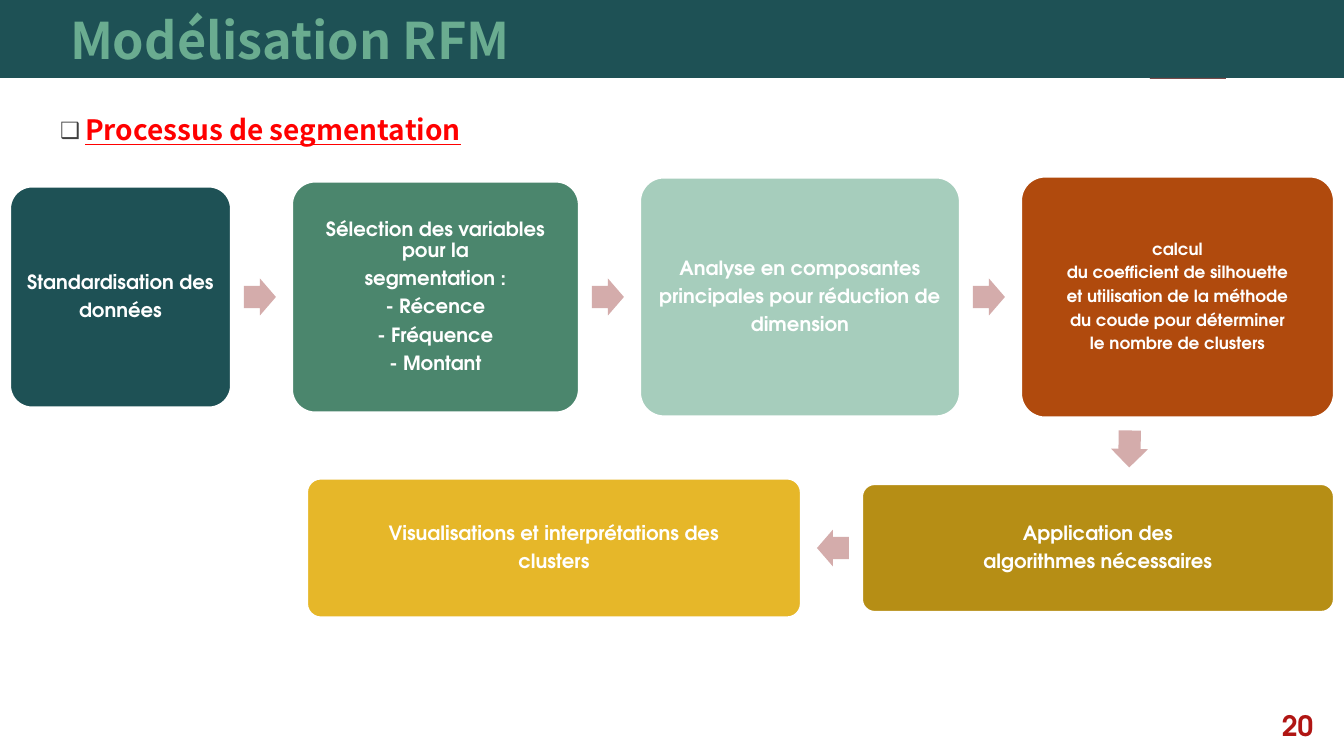
"""Build the slide that shows the RFM segmentation process as a chain of boxes."""
from dataclasses import dataclass

from lxml.etree import SubElement
from pptx import Presentation
from pptx.dml.color import RGBColor
from pptx.enum.shapes import MSO_SHAPE as Preset
from pptx.enum.text import MSO_ANCHOR as Anchor, PP_ALIGN as Align
from pptx.oxml.ns import qn
from pptx.util import Emu, Pt

TITLE = "Modélisation RFM"
HEADING = "Processus de segmentation"
PAGE_NUMBER = "20"

TOP_ROW = [
    (221, 221, "1E5155", 14, ["Standardisation des", "données"]),
    (287, 231, "4B866D", 14, ["Sélection des variables pour la", "segmentation :",
                              "- Récence", "- Fréquence", "- Montant"]),
    (320, 239, "A6CDBC", 14, ["Analyse en composantes", "principales pour réduction de",
                              "dimension"]),
    (313, 241, "B04A0D", 12, ["calcul", "du coefficient de silhouette",
                              "et utilisation de la méthode", "du coude pour déterminer",
                              "le nombre de clusters"]),
]
BOTTOM_ROW = [
    (472, 128, "B68E15", 14, ["Application des", "algorithmes nécessaires"]),
    (494, 139, "E6B729", 14, ["Visualisations et interprétations des", "clusters"]),
]


@dataclass(frozen=True)
class Theme:
    """Colours, fonts and type sizes of the slide."""
    banner: str = "1E5155"
    title: str = "6AAC90"
    heading: str = "FF0000"
    bullet: str = "404040"
    accent: str = "B01513"
    tab: str = "7A4A4A"
    arrow: str = "D4ACAB"
    white: str = "FFFFFF"
    heading_font: str = "Noto Sans CJK JP"
    body_font: str = "TeX Gyre Adventor"
    title_size: int = 36
    heading_size: int = 20
    number_size: int = 20


THEME = Theme()
SLIDE_WIDTH, SLIDE_HEIGHT = 1344, 756
BANNER_HEIGHT = 78
ROW_LEFT, ROW_RIGHT = 10, 1334
TOP_CENTRE, BOTTOM_CENTRE = 297, 548
BOX_GAP, ARROW_GAP = 61, 13
ARROW_WIDTH, ARROW_HEIGHT = 32, 37
DOWN_ARROW_LEFT = 1111


def px(length):
    return Emu(round(length * 914400 / 100.8))


def add_block(slide, preset, left, top, width, height, colour, outline=None):
    shape = slide.shapes.add_shape(preset, px(left), px(top), px(width), px(height))
    shape.shadow.inherit = False
    shape.fill.solid()
    shape.fill.fore_color.rgb = RGBColor.from_string(colour)
    if outline:
        shape.line.color.rgb = RGBColor.from_string(outline)
        shape.line.width = Pt(1.5)
    else:
        shape.line.fill.background()
    return shape


def set_insets(frame, left, top, right, bottom):
    frame.margin_left, frame.margin_top = px(left), px(top)
    frame.margin_right, frame.margin_bottom = px(right), px(bottom)


def write_line(paragraph, text, font_name, size, colour, align=Align.LEFT):
    paragraph.text = text
    paragraph.alignment = align
    font = paragraph.font
    font.name, font.size, font.bold = font_name, Pt(size), True
    font.color.rgb = RGBColor.from_string(colour)


def add_bullet(paragraph, symbol, indent):
    properties = paragraph._p.get_or_add_pPr()
    properties.set("marL", str(px(indent)))
    properties.set("indent", str(-px(indent)))
    colour = SubElement(properties, qn("a:buClr"))
    SubElement(colour, qn("a:srgbClr"), val=THEME.bullet)
    SubElement(properties, qn("a:buSzPct"), val="80000")
    SubElement(properties, qn("a:buFont"), typeface=THEME.heading_font)
    SubElement(properties, qn("a:buChar"), char=symbol)
    properties.append(properties.find(qn("a:defRPr")))


def add_step(slide, left, centre, width, height, colour, size, lines):
    box = add_block(slide, Preset.ROUNDED_RECTANGLE, left, centre - height / 2,
                    width, height, colour, THEME.white)
    box.adjustments[0] = 0.1
    frame = box.text_frame
    frame.vertical_anchor = Anchor.MIDDLE
    set_insets(frame, 6, 6, 6, 6)
    for index, line in enumerate(lines):
        paragraph = frame.add_paragraph() if index else frame.paragraphs[0]
        write_line(paragraph, line, THEME.body_font, size, THEME.white, Align.CENTER)
        paragraph.line_spacing = 0.9
        paragraph.space_after = Pt(round(0.35 * size))


def add_arrow(slide, left, top, width, rotation=0):
    arrow = add_block(slide, Preset.RIGHT_ARROW, left, top, width, ARROW_HEIGHT, THEME.arrow)
    arrow.adjustments[0], arrow.adjustments[1] = 0.6, 0.5
    arrow.rotation = rotation


def add_header(slide):
    body = add_block(slide, Preset.RECTANGLE, 0, BANNER_HEIGHT, SLIDE_WIDTH,
                     SLIDE_HEIGHT - BANNER_HEIGHT, THEME.white)
    frame = body.text_frame
    frame.vertical_anchor = Anchor.TOP
    set_insets(frame, 60, 34, 10, 5)
    heading = frame.paragraphs[0]
    write_line(heading, HEADING, THEME.heading_font, THEME.heading_size, THEME.heading)
    heading.font.underline = True
    add_bullet(heading, "❑", 25)

    banner = add_block(slide, Preset.RECTANGLE, 0, 0, SLIDE_WIDTH, BANNER_HEIGHT, THEME.banner)
    frame = banner.text_frame
    frame.vertical_anchor = Anchor.MIDDLE
    set_insets(frame, 70, 0, 10, 0)
    write_line(frame.paragraphs[0], TITLE, THEME.heading_font, THEME.title_size, THEME.title)
    add_block(slide, Preset.RECTANGLE, 1150, BANNER_HEIGHT, 76, 1, THEME.tab)


def add_process(slide):
    left = ROW_LEFT
    for index, (width, *step) in enumerate(TOP_ROW):
        if index:
            add_arrow(slide, left - BOX_GAP + ARROW_GAP, TOP_CENTRE - ARROW_HEIGHT / 2,
                      ARROW_WIDTH)
        add_step(slide, left, TOP_CENTRE, width, *step)
        left += width + BOX_GAP

    last_height = TOP_ROW[-1][1]
    add_arrow(slide, DOWN_ARROW_LEFT, TOP_CENTRE + last_height / 2 + ARROW_GAP,
              ARROW_HEIGHT, 91)

    right = ROW_RIGHT
    for index, (width, *step) in enumerate(BOTTOM_ROW):
        if index:
            add_arrow(slide, right + BOX_GAP - ARROW_GAP - ARROW_WIDTH,
                      BOTTOM_CENTRE - ARROW_HEIGHT / 2, ARROW_WIDTH, 180)
        add_step(slide, right - width, BOTTOM_CENTRE, width, *step)
        right -= width + BOX_GAP


def add_page_number(slide):
    frame = slide.shapes.add_textbox(px(1272), px(708), px(61), px(34)).text_frame
    frame.word_wrap = True
    frame.vertical_anchor = Anchor.MIDDLE
    set_insets(frame, 10, 5, 10, 5)
    write_line(frame.paragraphs[0], PAGE_NUMBER, THEME.body_font, THEME.number_size,
               THEME.accent)


def main():
    presentation = Presentation()
    presentation.slide_width, presentation.slide_height = px(SLIDE_WIDTH), px(SLIDE_HEIGHT)
    slide = presentation.slides.add_slide(presentation.slide_layouts[6])
    add_header(slide)
    add_process(slide)
    add_page_number(slide)
    presentation.save("out.pptx")


if __name__ == "__main__":
    main()
